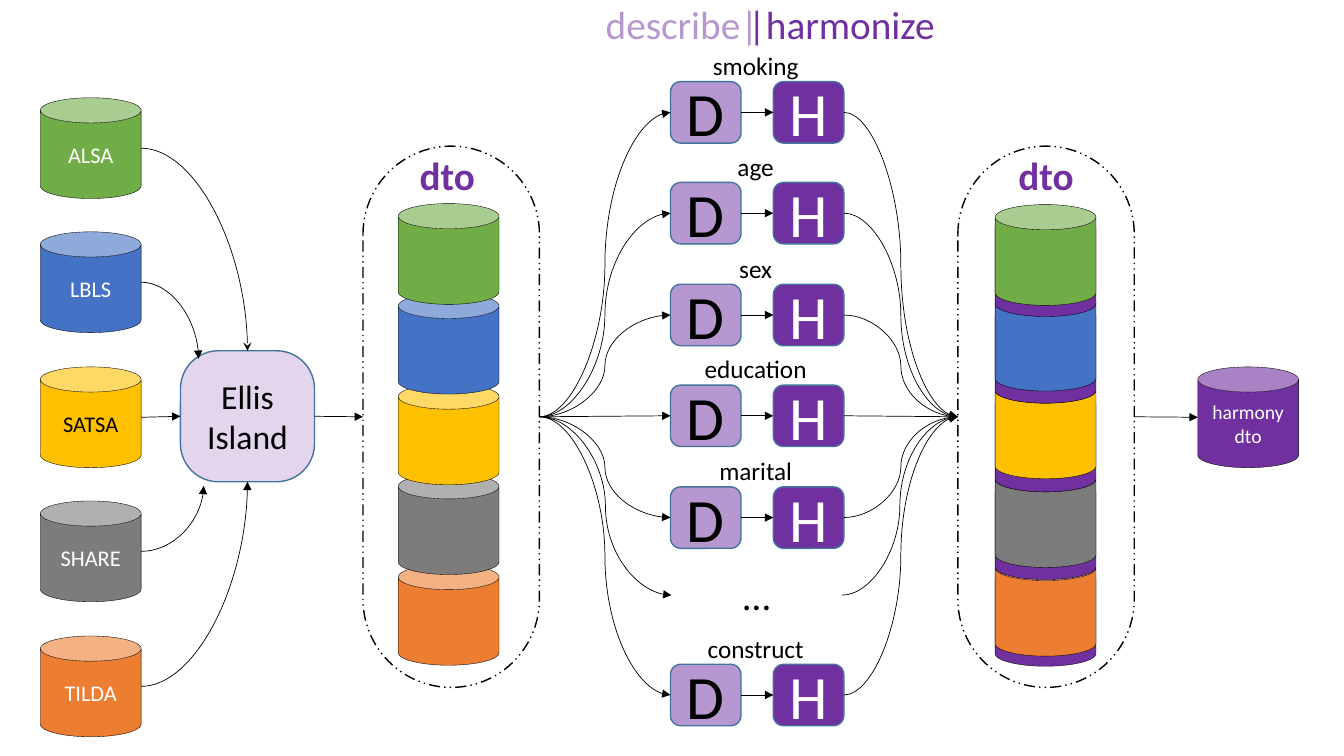
import pptx
import pptx.dml.color
import pptx.enum.dml
import pptx.enum.shapes
import pptx.enum.text
import pptx.oxml
import pptx.oxml.ns
import pptx.util
from pptx.util import Inches

SHAPE = pptx.enum.shapes.MSO_SHAPE
CONNECTOR = pptx.enum.shapes.MSO_CONNECTOR
ALIGN = pptx.enum.text.PP_ALIGN
ANCHOR = pptx.enum.text.MSO_ANCHOR
AUTO_SIZE = pptx.enum.text.MSO_AUTO_SIZE
qn = pptx.oxml.ns.qn

TOP, LEFT, BOTTOM, RIGHT = range(4)
BLACK, WHITE, PURPLE, LILAC = "000000", "FFFFFF", "7030A0", "B797CF"
BOX_LINE = "43739E"

# Name, fill, text colour, top in the source column, in the first and second stack
STUDIES = [
    ("ALSA", "70AD47", WHITE, 0.97, 2.02, 2.03),
    ("LBLS", "4472C4", WHITE, 2.30, 2.91, 2.88),
    ("SATSA", "FFC000", BLACK, 3.64, 3.81, 3.75),
    ("SHARE", "7C7C7C", WHITE, 4.97, 4.70, 4.63),
    ("TILDA", "ED7D31", WHITE, 6.31, 5.60, 5.51),
]
HARMONY_TOPS = [2.14, 3.00, 3.88, 4.75, 5.61]
CONSTRUCTS = [("smoking", 0.81), ("age", 1.81), ("sex", 2.82), ("education", 3.82),
              ("marital", 4.83), ("construct", 6.59)]


def color(hex_string):
    return pptx.dml.color.RGBColor.from_string(hex_string)


def add_element(parent, tag, **attributes):
    element = pptx.oxml.parse_xml(f"<a:{tag} {pptx.oxml.ns.nsdecls('a')}/>")
    for name, value in attributes.items():
        element.set(name, str(value))
    parent.append(element)
    return element


def write(shape, text, size, text_color, align=ALIGN.CENTER, bold=None):
    frame = shape.text_frame
    for index, line in enumerate(text.split("\n")):
        paragraph = frame.add_paragraph() if index else frame.paragraphs[0]
        paragraph.alignment = align
        run = paragraph.add_run()
        run.text = line
        run.font.name = "Calibri"
        run.font.size = pptx.util.Pt(size)
        run.font.bold = bold
        run.font.color.rgb = color(text_color)


def add_box(slide, kind, place, fill, line, width, text="", size=16,
            text_color=WHITE, opacity=100, corner=None):
    shape = slide.shapes.add_shape(kind, *map(Inches, place))
    shape.shadow.inherit = False
    shape.fill.solid()
    shape.fill.fore_color.rgb = color(fill)
    if opacity < 100:
        fill_color = shape._element.spPr.find(qn("a:solidFill"))[0]
        add_element(fill_color, "alpha", val=opacity * 1000)
    shape.line.color.rgb = color(line)
    shape.line.width = pptx.util.Pt(width)
    if corner is not None:
        shape.adjustments[0] = corner
    shape.text_frame.vertical_anchor = ANCHOR.MIDDLE
    if text:
        write(shape, text, size, text_color)
    return shape


def add_can(slide, left, top, fill, text="", size=16, text_color=WHITE):
    return add_box(slide, SHAPE.CAN, (left, top, 1, 1), fill, BLACK, 0.25,
                   text, size, text_color)


def add_capsule(slide, left):
    capsule = add_box(slide, SHAPE.ROUNDED_RECTANGLE, (left, 1.45, 1.75, 5.37),
                      WHITE, BLACK, 1, corner=0.5)
    capsule.line.dash_style = pptx.enum.dml.MSO_LINE.DASH_DOT_DOT
    return capsule


def add_label(slide, place, text, size, text_color, align=ALIGN.CENTER,
              anchor=ANCHOR.TOP, wrap=False, bold=None):
    label = slide.shapes.add_textbox(*map(Inches, place))
    label.text_frame.word_wrap = wrap
    label.text_frame.auto_size = AUTO_SIZE.SHAPE_TO_FIT_TEXT
    label.text_frame.vertical_anchor = anchor
    write(label, text, size, text_color, align, bold)
    return label


def add_arrow(slide, start, end, bend=False, head="triangle"):
    """Each end is a point (x, y) in inches or a joint (shape, side)."""
    def locate(joint):
        shape, side = joint
        if not hasattr(shape, "left"):
            return Inches(shape), Inches(side)
        across = {LEFT: 0, RIGHT: 2}.get(side, 1)
        down = {TOP: 0, BOTTOM: 2}.get(side, 1)
        return shape.left + shape.width * across // 2, shape.top + shape.height * down // 2

    points = locate(start) + locate(end)
    level = abs(points[1] - points[3]) < Inches(0.05)
    kind = CONNECTOR.STRAIGHT if level else CONNECTOR.CURVE
    arrow = slide.shapes.add_connector(kind, *points)
    properties = arrow._element.spPr
    if bend:
        properties.find(qn("a:prstGeom")).set("prst", "curvedConnector2")
    if hasattr(start[0], "left"):
        arrow.begin_connect(*start)
    if hasattr(end[0], "left"):
        arrow.end_connect(*end)
    arrow.line.color.rgb = color(BLACK)
    arrow.line.width = pptx.util.Pt(0.5)
    add_element(properties.find(qn("a:ln")), "tailEnd", type=head)
    add_element(properties, "effectLst")


def add_construct(slide, name, top):
    describe = add_box(slide, SHAPE.ROUNDED_RECTANGLE, (6.65, top, 0.7, 0.61), PURPLE,
                       BOX_LINE, 1, "D", 44, BLACK, opacity=50)
    harmonize = add_box(slide, SHAPE.ROUNDED_RECTANGLE, (7.67, top, 0.7, 0.61), PURPLE,
                        BOX_LINE, 1, "H", 44)
    add_label(slide, (6.88, top - 0.36, 1.23, 0.4), name, 18, BLACK)
    add_arrow(slide, (describe, RIGHT), (harmonize, LEFT))
    return describe, harmonize


def main():
    presentation = pptx.Presentation()
    presentation.slide_width = Inches(13.33)
    presentation.slide_height = Inches(7.5)
    slide = presentation.slides.add_slide(presentation.slide_layouts[6])

    # Data transfer objects before and after harmonizing
    raw_dto = add_capsule(slide, 3.6)
    harmonized_dto = add_capsule(slide, 9.5)

    # Source studies and the first stack, piled from the bottom up
    for name, fill, text_color, top, _, _ in STUDIES:
        add_can(slide, 0.4, top, fill, name, 16, text_color)
    for _, fill, _, _, top, _ in reversed(STUDIES):
        add_can(slide, 3.95, top, fill)

    # Second stack, with a purple layer under every study
    for study, harmony_top in reversed(list(zip(STUDIES, HARMONY_TOPS))):
        add_can(slide, 9.87, harmony_top, PURPLE)
        add_can(slide, 9.87, study[5], study[1])

    # Gathering of the studies
    island = add_box(slide, SHAPE.ROUNDED_RECTANGLE, (1.79, 3.48, 1.33, 1.3), PURPLE,
                     BOX_LINE, 1, "Ellis\nIsland", 24, BLACK, opacity=20, corner=0.29)
    add_arrow(slide, (1.4, 1.47), (island, TOP), bend=True, head="stealth")
    add_arrow(slide, (1.4, 2.8), (1.97, 3.56), bend=True)
    add_arrow(slide, (1.4, 4.14), (island, LEFT))
    add_arrow(slide, (1.4, 5.47), (2.02, 4.82), bend=True)
    add_arrow(slide, (1.4, 6.81), (island, BOTTOM), bend=True)
    add_arrow(slide, (island, RIGHT), (raw_dto, LEFT))

    # Constructs, described and harmonized one by one
    steps = [add_construct(slide, name, top) for name, top in CONSTRUCTS]
    more = add_label(slide, (6.66, 5.62, 1.69, 0.57), "…", 28, BLACK,
                     anchor=ANCHOR.MIDDLE, wrap=True)
    for first, last in steps + [(more, more)]:
        add_arrow(slide, (raw_dto, RIGHT), (first, LEFT))
        add_arrow(slide, (last, RIGHT), (harmonized_dto, LEFT))

    # Result
    add_can(slide, 11.88, 3.64, PURPLE, "harmony\ndto", 14)
    add_arrow(slide, (harmonized_dto, RIGHT), (11.88, 4.14))

    # Headings
    for left in (3.59, 9.53):
        add_label(slide, (left, 1.45, 1.69, 0.57), "dto", 28, PURPLE,
                  anchor=ANCHOR.MIDDLE, wrap=True, bold=True)
    add_label(slide, (5.89, -0.05, 1.73, 0.57), "describe|", 28, LILAC, ALIGN.RIGHT)
    add_label(slide, (7.32, -0.05, 2.07, 0.57), "|harmonize", 28, PURPLE, ALIGN.LEFT)

    presentation.save("out.pptx")


if __name__ == "__main__":
    main()
